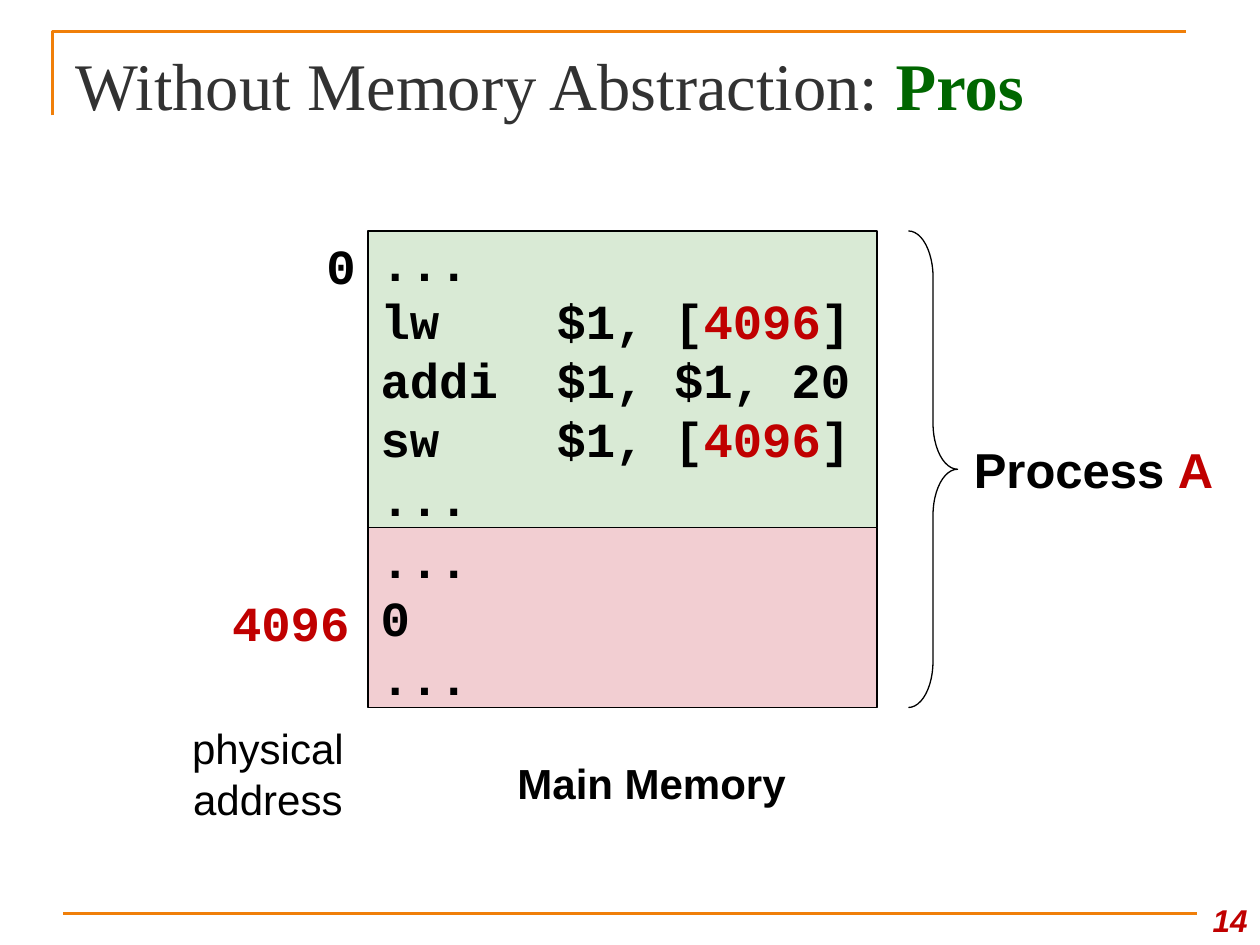
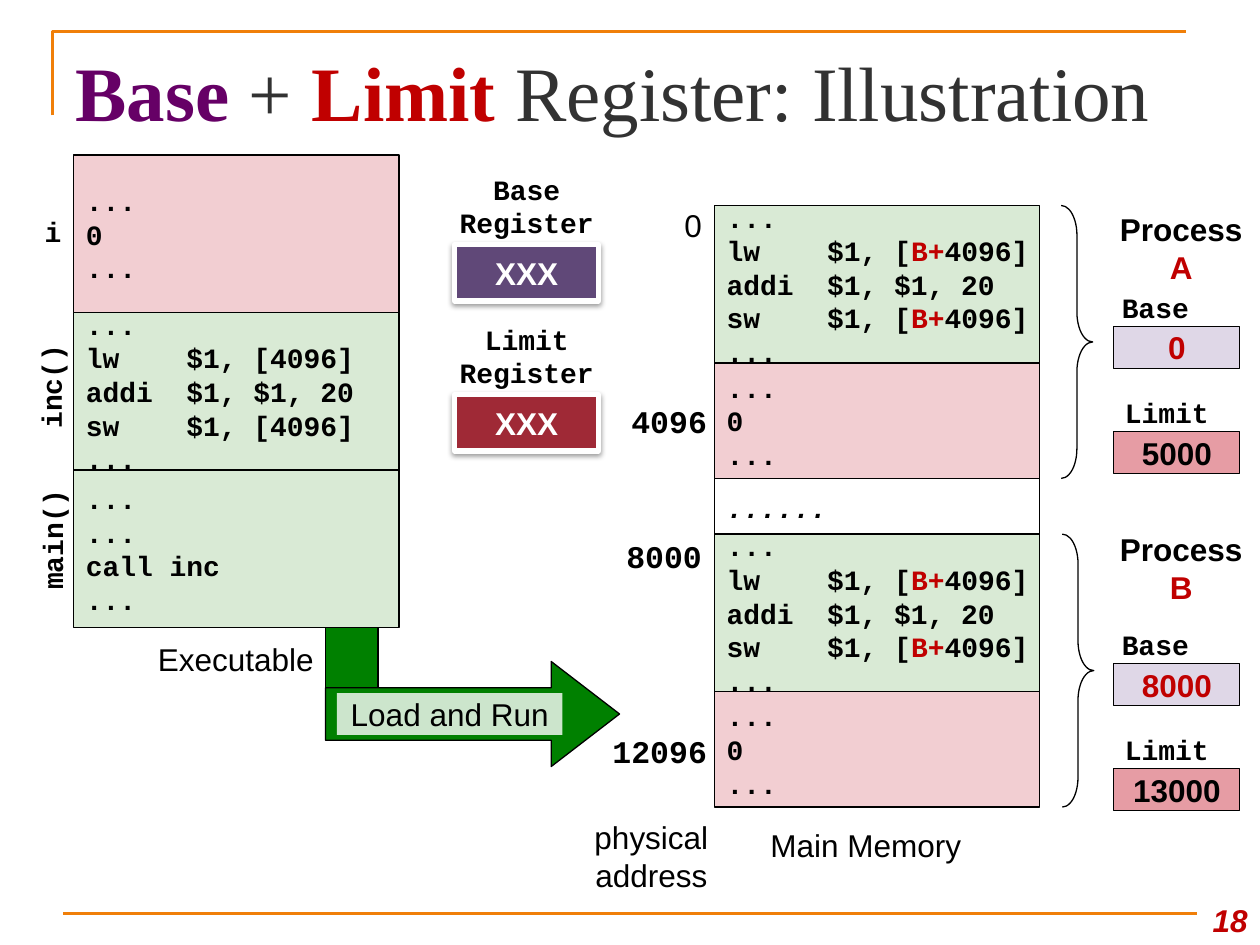
"""Builds two slides on memory without abstraction and with base and limit registers."""
import dataclasses

import pptx
import pptx.dml.color
import pptx.enum.shapes
import pptx.enum.text
import pptx.oxml
import pptx.oxml.ns
import pptx.util

Pt = pptx.util.Pt
RGB = pptx.dml.color.RGBColor.from_string
SHAPE = pptx.enum.shapes.MSO_SHAPE
ALIGN = pptx.enum.text.PP_ALIGN
ANCHOR = pptx.enum.text.MSO_ANCHOR
A_NS = pptx.oxml.ns.nsdecls("a")


@dataclasses.dataclass(frozen=True)
class Theme:
    sans: str = "Arial"
    mono: str = "Courier New"
    serif: str = "Times New Roman"
    black: str = "000000"
    white: str = "FFFFFF"
    grey: str = "323232"
    red: str = "C00000"
    purple: str = "660066"
    dark_green: str = "006600"
    rule: str = "F07F09"
    code: str = "D9EAD5"
    data: str = "F2CED2"
    arrow: str = "008000"
    base: str = "DFD7E7"
    limit: str = "E69CA4"
    base_register: str = "604878"
    limit_register: str = "9F2936"
    long_title: int = 38
    title: int = 44
    big: int = 28
    medium: int = 24
    label: int = 18
    small: int = 16


T = Theme()

# Asterisks enclose the runs set in red.
DATA = ["...", "0", "..."]
PROGRAM = ["...", "lw    $1, [{}]", "addi  $1, $1, 20", "sw    $1, [{}]", "..."]
MAIN = ["...", "...", "call inc", "..."]

PROS_TITLE = [("Without Memory Abstraction: ", T.grey, False), ("Pros", T.dark_green, True)]
BASE_TITLE = [("Base", T.purple, True), (" + ", T.grey, False), ("Limit", T.red, True),
              (" Register: Illustration", T.grey, False)]

PROCESSES = [
    dict(name="A", top=117.4, brace_x=606.4, label_y=116.6, base_y=186.5, base="0", limit="5000",
         addresses=[("0", (328.2, 117.8, 80, 21.6), T.sans, False),
                    ("4096", (331.1, 219.6, 80, 41.8), T.mono, True)]),
    dict(name="B", top=305.2, brace_x=607, label_y=299.5, base_y=379.2, base="8000", limit="13000",
         addresses=[("8000", (328.2, 306.7, 80, 22.3), T.mono, True),
                    ("12096", (331.1, 408.2, 80, 41.8), T.mono, True)]),
]
REGISTERS = [("Base Register", T.base_register, 95), ("Limit Register", T.limit_register, 180.7)]
SEGMENTS = [(DATA, T.data), (PROGRAM, T.code), (MAIN, T.code)]
SIDE_NAMES = [("main()", -12.2, 288.7), ("inc()", -13, 196.6)]


def program(operand):
    return [line.format(operand) for line in PROGRAM]


def style(run, font, size, color, bold=False, italic=False):
    run.font.name, run.font.size = font, Pt(size)
    run.font.bold, run.font.italic = bold, italic
    run.font.color.rgb = RGB(color)


def write(sp, lines, font=T.sans, size=T.label, color=T.black, bold=False, italic=False,
          align=ALIGN.CENTER, anchor=ANCHOR.MIDDLE, wrap=False):
    tf = sp.text_frame
    tf.word_wrap, tf.vertical_anchor = wrap, anchor
    for i, line in enumerate(lines):
        p = tf.paragraphs[0] if i == 0 else tf.add_paragraph()
        p.alignment = align
        for j, part in enumerate(line.split("*")):
            if part:
                r = p.add_run()
                r.text = part
                style(r, font, size, T.red if j % 2 else color, bold, italic)


def shape(s, kind, rect, fill=None, line=T.black, width=0.75, adjust=()):
    sp = s.shapes.add_shape(kind, *map(Pt, rect))
    sp.shadow.inherit = False
    for i, value in enumerate(adjust):
        sp.adjustments[i] = value
    if fill:
        sp.fill.solid()
        sp.fill.fore_color.rgb = RGB(fill)
    else:
        sp.fill.background()
    if line:
        sp.line.color.rgb, sp.line.width = RGB(line), Pt(width)
    else:
        sp.line.fill.background()
    return sp


def box(s, rect, fill, lines, **text):
    sp = shape(s, SHAPE.RECTANGLE, rect, fill)
    write(sp, lines, **text)


def memory(s, rect, fill, lines, size=T.small, italic=False):
    box(s, rect, fill, lines, font=T.mono, size=size, bold=True, italic=italic, align=ALIGN.LEFT)


def label(s, rect, text, rotation=0, **kw):
    sp = s.shapes.add_textbox(*map(Pt, rect))
    sp.rotation = rotation
    write(sp, [text], **kw)


def caption(s, rect, text, rotation=0, align=ALIGN.CENTER):
    label(s, rect, text, rotation, font=T.mono, size=T.small, bold=True, align=align,
          anchor=ANCHOR.TOP, wrap=True)


def brace(s, rect):
    shape(s, SHAPE.RIGHT_BRACE, rect, adjust=(0.944, 0.5))


def add_slide(prs, title, size, number):
    s = prs.slides.add_slide(prs.slide_layouts[5])
    fb = s.shapes.build_freeform(Pt(30), Pt(66), scale=1.0)
    fb.add_line_segments([(Pt(30), Pt(18)), (Pt(678), Pt(18))], close=False)
    corner = fb.convert_to_shape()
    corner.shadow.inherit = False
    corner.fill.background()
    footer = s.shapes.add_connector(pptx.enum.shapes.MSO_CONNECTOR.STRAIGHT,
                                    Pt(36), Pt(522), Pt(684), Pt(522))
    for rule in (corner, footer):
        rule.line.color.rgb, rule.line.width = RGB(T.rule), Pt(1.5)
    footer._element.spPr.append(pptx.oxml.parse_xml(f"<a:effectLst {A_NS}/>"))

    sp = s.shapes.title
    sp.left, sp.top, sp.width, sp.height = map(Pt, (36, 21.6, 648, 56.2))
    tf = sp.text_frame
    tf.auto_size = pptx.enum.text.MSO_AUTO_SIZE.NONE
    tf.vertical_anchor = ANCHOR.TOP
    p = tf.paragraphs[0]
    p.alignment = ALIGN.LEFT
    for text, color, bold in title:
        r = p.add_run()
        r.text = text
        style(r, T.serif, size, color, bold)
    label(s, (678.2, 504, 41.8, 36), str(number), color=T.red, bold=True, italic=True,
          align=ALIGN.RIGHT, anchor=ANCHOR.BOTTOM, wrap=True)
    return s


def pros_slide(prs):
    s = add_slide(prs, PROS_TITLE, T.long_title, 14)
    x, y, w, code_h, data_h = 210.4, 132, 290.9, 169.3, 103
    memory(s, (x, y, w, code_h), T.code, program("*4096*"), T.big)
    memory(s, (x, y + code_h, w, data_h), T.data, DATA, T.big)
    label(s, (283, 422.6, 178.6, 49.7), "Main Memory", size=T.medium, bold=True)
    address = dict(font=T.mono, size=T.big, bold=True, align=ALIGN.RIGHT)
    label(s, (106.8, 326.4, 100, 57.6), "*4096*", **address)
    label(s, (110.4, 131.6, 100, 39.6), "0", **address)
    label(s, (95.8, 404.8, 114.5, 74.2), "physical address", size=T.medium, wrap=True)
    brace(s, (519.1, y, 28.1, code_h + data_h))
    label(s, (549.4, 247.7, 164.2, 41), "Process *A*", size=T.big, bold=True,
          align=ALIGN.LEFT, anchor=ANCHOR.TOP, wrap=True)


def draw_process(s, proc, x, w):
    top, code_h, data_h = proc["top"], 90, 66
    memory(s, (x, top, w, code_h), T.code, program("*B+*4096"))
    memory(s, (x, top + code_h, w, data_h), T.data, DATA)
    for text, rect, font, bold in proc["addresses"]:
        label(s, rect, text, font=font, bold=bold, align=ALIGN.RIGHT)
    brace(s, (proc["brace_x"], top, 18, code_h + data_h))
    label(s, (630, proc["label_y"], 90, 51.1), f"Process *{proc['name']}*", bold=True,
          anchor=ANCHOR.TOP, wrap=True)
    fields = [("Base", 624.2, T.base, T.red, proc["base"]),
              ("Limit", 630.7, T.limit, T.black, proc["limit"])]
    for i, (name, name_x, fill, color, value) in enumerate(fields):
        y = proc["base_y"] + 60 * i
        box(s, (636.5, y, 72, 24), fill, [value], color=color, bold=True)
        caption(s, (name_x, y - 24.1, 72, 26.6), name)


def draw_register(s, name, fill, y):
    sp = shape(s, SHAPE.RECTANGLE, (259.9, y + 44.7, 82.1, 32.4), fill, T.white, 3)
    effects = sp._element.spPr.find(pptx.oxml.ns.qn("a:effectLst"))
    effects.append(pptx.oxml.parse_xml(
        f'<a:outerShdw {A_NS} blurRad="{Pt(3.1)}" dist="{Pt(1.6)}" dir="5400000" rotWithShape="0">'
        f'<a:srgbClr val="{T.black}"><a:alpha val="38000"/></a:srgbClr></a:outerShdw>'))
    write(sp, ["XXX"], color=T.white, bold=True)
    caption(s, (241.6, y, 118.8, 46.1), name)


def base_limit_slide(prs):
    s = add_slide(prs, BASE_TITLE, T.title, 18)
    x, w = 408.2, 186
    label(s, (419.8, 465.1, 149.8, 36), "Main Memory")
    label(s, (323.3, 462.2, 97.9, 54), "physical address", wrap=True)
    memory(s, (x, 118.8, w, 342), T.white, ["......"], italic=True)
    for proc in PROCESSES:
        draw_process(s, proc, x, w)

    shape(s, SHAPE.RECTANGLE, (186, 348, 30, 72), T.arrow)
    shape(s, SHAPE.RIGHT_ARROW, (186, 378, 168, 60), T.arrow, adjust=(0.5, 0.65))
    sp = shape(s, SHAPE.RECTANGLE, (192.5, 396, 128.9, 24), T.white, None)
    color = sp._element.spPr.find(".//" + pptx.oxml.ns.qn("a:srgbClr"))
    color.append(pptx.oxml.parse_xml(f'<a:alpha {A_NS} val="80000"/>'))
    write(sp, ["Load and Run"])

    for i, (lines, fill) in reversed(list(enumerate(SEGMENTS))):
        code = [line.format("4096") for line in lines]
        memory(s, (42, 88.6 + 90 * i, w, 90), fill, code)
    for name, name_x, name_y in SIDE_NAMES:
        caption(s, (name_x, name_y, 84.2, 26.6), name, 270, ALIGN.LEFT)
    caption(s, (0, 118.8, 42.2, 26.6), "i", align=ALIGN.RIGHT)
    label(s, (59.8, 358.6, 149.8, 36), "Executable")
    for register in REGISTERS:
        draw_register(s, *register)


def main():
    prs = pptx.Presentation()
    prs.slide_width, prs.slide_height = Pt(720), Pt(540)
    pros_slide(prs)
    base_limit_slide(prs)
    prs.save("out.pptx")


if __name__ == "__main__":
    main()
